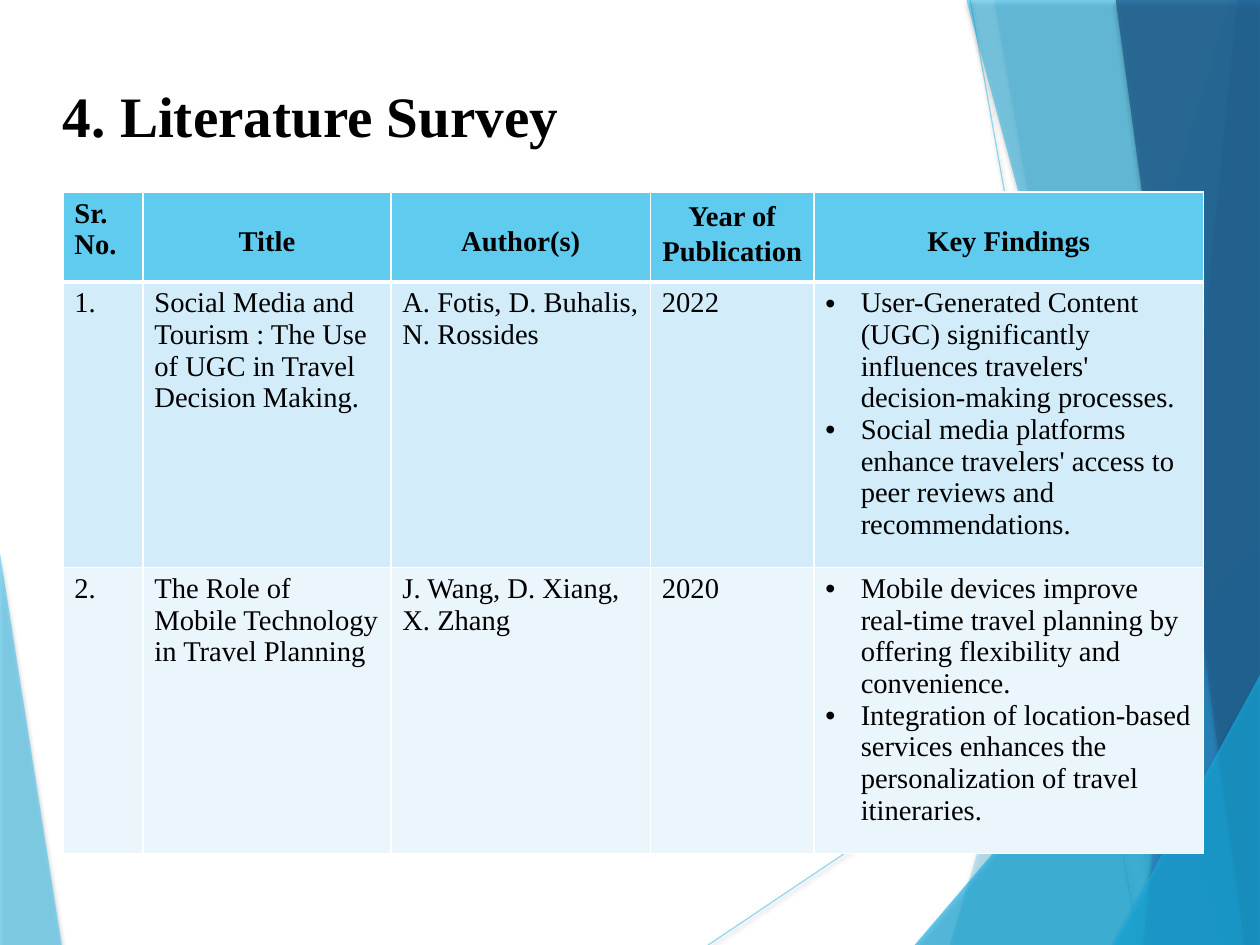
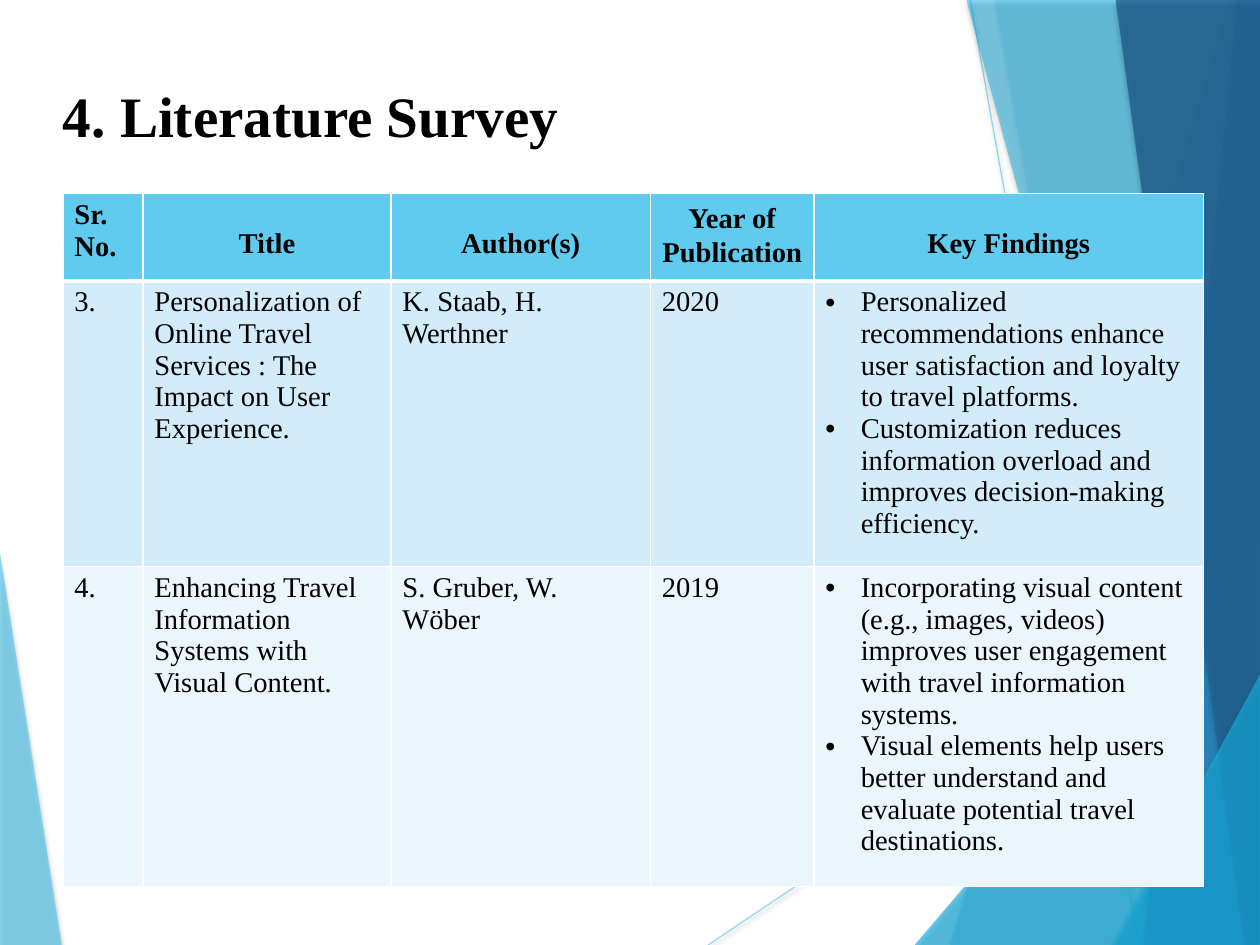
from lxml import etree
from pptx import Presentation
from pptx import util as u
from pptx.dml import color
from pptx.enum import shapes, text
from pptx.oxml import ns

# Shared style
WIDTH, HEIGHT = u.Cm(28), u.Cm(21)
FONT = "Times New Roman"
BLACK, WHITE = "000000", "FFFFFF"
SKY, AZURE, BLUE, NAVY = "5FCBEF", "17B0E4", "2E83C3", "226292"
ROW_FILLS = [SKY, "D2ECF9", "EAF6FC"]

# Facets and lines: points in percent of the slide's width and height
LEFT_FACET = ([(0, 58.5), (4.9, 100), (0, 100)], SKY, 70)
LINES = [((56.2, 100), (100, 60.8)), ((77, 0), (90.4, 100))]
RIGHT_FACETS = [
    ([(97.5, 0), (75.4, 100), (100, 100), (100, 0)], SKY, 36),
    ([(78.9, 0), (92, 100), (100, 100), (100, 0)], SKY, 20),
    ([(72.6, 100), (100, 57.2), (100, 100)], AZURE, 66),
    ([(76.7, 0), (97, 100), (100, 100), (100, 0)], AZURE, 50),
    ([(98.2, 0), (90.75, 100), (100, 100), (100, 0)], BLUE, 70),
    ([(88.55, 0), (98.8, 100), (100, 100), (100, 0)], NAVY, 82),
    ([(88.3, 100), (100, 71.4), (100, 100)], AZURE, 66),
]

# Table content: top, frame height and least row heights in percent, then rows
LEFT = 5  # percent of the width, shared by title and table
COLUMNS = [6.35, 19.68, 20.6, 12.97, 30.93]  # percent of the width
HEADERS = [("Sr. No.", None), ("Title", 1.9), ("Author(s)", 1.9),
           ("Year of Publication", 1.1), ("Key Findings", 1.9)]
SURVEYS = [
    (20.3, 70, [9.5, 15.4, 15.4], [
        ["1.", "Social Media and Tourism : The Use of UGC in Travel Decision Making.",
         "A. Fotis, D. Buhalis, N. Rossides", "2022",
         ["User-Generated Content (UGC) significantly influences travelers' "
          "decision-making processes.",
          "Social media platforms enhance travelers' access to peer reviews and "
          "recommendations."]],
        ["2.", "The Role of Mobile Technology in Travel Planning",
         "J. Wang, D. Xiang, X. Zhang", "2020",
         ["Mobile devices improve real-time travel planning by offering flexibility "
          "and convenience.",
          "Integration of location-based services enhances the personalization of "
          "travel itineraries."]],
    ]),
    (20.5, 73, [7.9, 15.4, 15.4], [
        ["3.", "Personalization of Online Travel Services : The Impact on User Experience.",
         "K. Staab, H. Werthner", "2020",
         ["Personalized recommendations enhance user satisfaction and loyalty to "
          "travel platforms.",
          "Customization reduces information overload and improves decision-making "
          "efficiency."]],
        ["4.", "Enhancing Travel Information Systems with Visual Content.",
         "S. Gruber, W. Wöber", "2019",
         ["Incorporating visual content (e.g., images, videos) improves user "
          "engagement with travel information systems.",
          "Visual elements help users better understand and evaluate potential "
          "travel destinations."]],
    ]),
]


def across(percent):
    return u.Emu(round(WIDTH * percent / 100))


def down(percent):
    return u.Emu(round(HEIGHT * percent / 100))


def rgb(value):
    return color.RGBColor.from_string(value)


def add_element(parent, tag, **attributes):
    element = etree.SubElement(parent, ns.qn(tag))
    for name, value in attributes.items():
        element.set(name, str(value))
    return element


def paint(fill, value, opacity=100):
    fill.solid()
    fill.fore_color.rgb = rgb(value)
    if opacity < 100:
        for node in fill._xPr.iter(ns.qn("a:srgbClr")):
            add_element(node, "a:alpha", val=opacity * 1000)


def add_shadow(shape, opacity, blur, distance):
    effects = add_element(shape._element.spPr, "a:effectLst")
    shadow = add_element(effects, "a:outerShdw", blurRad=u.Pt(blur), dist=u.Pt(distance),
                         dir=90 * 60000, algn="ctr", rotWithShape=0)
    add_element(add_element(shadow, "a:srgbClr", val=BLACK), "a:alpha", val=opacity * 1000)


def format_runs(paragraph, size, bold):
    for run in paragraph.runs:
        run.font.name, run.font.size, run.font.bold = FONT, u.Pt(size), bold
        run.font.color.rgb = rgb(BLACK)


# Background
def add_facet(slide, points, fill, opacity):
    start, *others = [(across(x), down(y)) for x, y in points]
    builder = slide.shapes.build_freeform(*start)
    builder.add_line_segments(others, close=True)
    facet = builder.convert_to_shape()
    paint(facet.fill, fill, opacity)
    facet.line.fill.background()
    add_shadow(facet, 35, 3, 2)


def add_line(slide, start, end):
    line = slide.shapes.add_connector(shapes.MSO_CONNECTOR.STRAIGHT, across(start[0]),
                                      down(start[1]), across(end[0]), down(end[1]))
    line.line.width = u.Pt(0.75)
    paint(line.line.fill, SKY, 70)
    add_shadow(line, 38, 3.1, 1.6)


def add_background(slide):
    add_facet(slide, *LEFT_FACET)
    for start, end in LINES:
        add_line(slide, start, end)
    for facet in RIGHT_FACETS:
        add_facet(slide, *facet)


# Title
def add_title(slide, title):
    box = slide.shapes.add_textbox(across(LEFT), down(4), across(90), down(16.7))
    frame = box.text_frame
    frame.word_wrap = True
    frame.vertical_anchor = text.MSO_ANCHOR.MIDDLE
    frame.margin_left = frame.margin_right = frame.margin_bottom = 0
    frame.margin_top = u.Inches(0.03)
    frame.text = title
    frame.paragraphs[0].line_spacing = 0.93
    format_runs(frame.paragraphs[0], 36, True)


# Table
def add_borders(cell, row):
    widths = {"L": 1, "R": 1, "T": 3 if row == 1 else 1, "B": 3 if row == 0 else 1}
    properties = cell._tc.get_or_add_tcPr()
    for side, width in widths.items():
        border = add_element(properties, f"a:ln{side}", w=u.Pt(width))
        add_element(add_element(border, "a:solidFill"), "a:srgbClr", val=WHITE)


def add_bullet(paragraph):
    properties = paragraph._p.get_or_add_pPr()
    indent = u.Inches(0.31)
    properties.set("marL", str(indent))
    properties.set("indent", str(-indent))
    add_element(properties, "a:buFont", typeface="Arial")
    add_element(properties, "a:buChar", char="•")


def fill_cell(cell, row, content, spacing=None):
    add_borders(cell, row)
    paint(cell.fill, ROW_FILLS[row])
    bulleted = isinstance(content, list)
    cell.text_frame.text = "\n".join(content) if bulleted else content
    for paragraph in cell.text_frame.paragraphs:
        if bulleted:
            add_bullet(paragraph)
        if spacing:
            paragraph.alignment = text.PP_ALIGN.CENTER
            paragraph.line_spacing = spacing
        format_runs(paragraph, 18, row == 0)


def add_survey(slide, top, frame_height, heights, entries):
    frame = slide.shapes.add_table(len(heights), len(COLUMNS), across(LEFT), down(top),
                                   across(sum(COLUMNS)), down(frame_height))
    table = frame.table
    table.horz_banding = False
    for column, width in zip(table.columns, COLUMNS):
        column.width = across(width)
    for row, height in zip(table.rows, heights):
        row.height = down(height)
    frame.height = down(frame_height)  # room for the rows as they grow
    for index, (header, spacing) in enumerate(HEADERS):
        fill_cell(table.cell(0, index), 0, header, spacing)
    for row, entry in enumerate(entries, 1):
        for index, content in enumerate(entry):
            fill_cell(table.cell(row, index), row, content)


def main():
    presentation = Presentation()
    presentation.slide_width, presentation.slide_height = WIDTH, HEIGHT
    for survey in SURVEYS:
        slide = presentation.slides.add_slide(presentation.slide_layouts[6])
        add_background(slide)
        add_title(slide, "4. Literature Survey")
        add_survey(slide, *survey)
    presentation.save("out.pptx")


if __name__ == "__main__":
    main()
